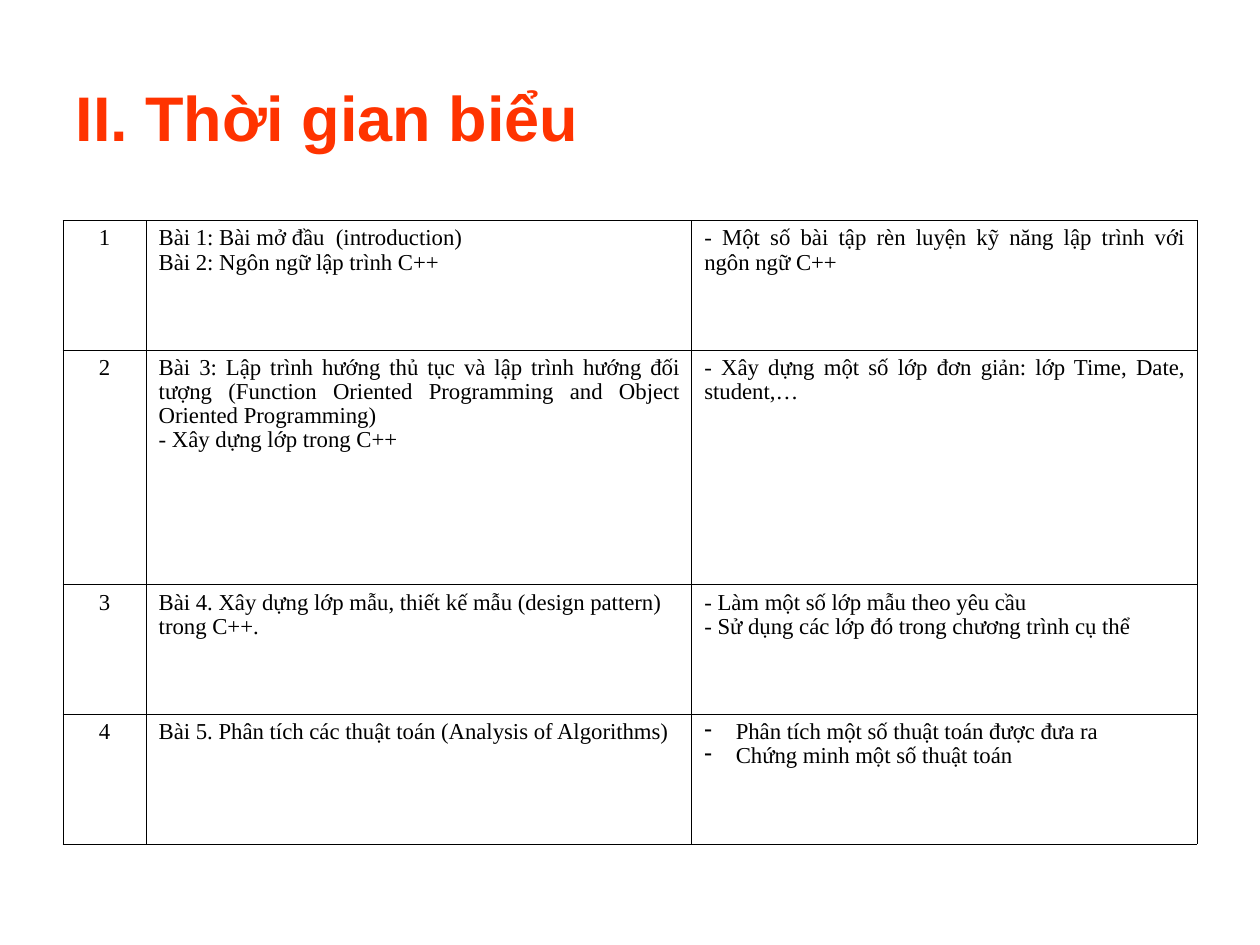
from lxml import etree
from pptx import Presentation
from pptx.dml.color import RGBColor
from pptx.enum.text import MSO_ANCHOR, PP_ALIGN
from pptx.oxml.ns import qn
from pptx.util import Inches, Pt

LEFT, CENTER, JUSTIFY = PP_ALIGN.LEFT, PP_ALIGN.CENTER, PP_ALIGN.JUSTIFY
MIDDLE = MSO_ANCHOR.MIDDLE
TITLE_ONLY = 5
COLORS = {"title": "FF3300", "text": "000000", "border": "000000", "bg": "FFFFFF"}
COL_WIDTHS = [0.66, 4.33, 4.01]
ROW_HEIGHTS = [1.03, 1.86, 1.03, 1.03]

# Each row: (lesson alignment, lessons), (exercise alignment, exercises, bulleted)
SCHEDULE = [
    ((LEFT, ["Bài 1: Bài mở đầu  (introduction)",
             "Bài 2: Ngôn ngữ lập trình C++"]),
     (JUSTIFY, ["- Một số bài tập rèn luyện kỹ năng lập trình với ngôn ngữ C++"])),
    ((JUSTIFY, ["Bài 3: Lập trình hướng thủ tục và lập trình hướng đối tượng "
                "(Function Oriented Programming and Object Oriented Programming)",
                "- Xây dựng lớp trong C++"]),
     (JUSTIFY, ["- Xây dựng một số lớp đơn giản: lớp Time, Date, student,…"])),
    ((LEFT, ["Bài 4. Xây dựng lớp mẫu, thiết kế mẫu (design pattern) trong C++."]),
     (LEFT, ["- Làm một số lớp mẫu theo yêu cầu",
             "- Sử dụng các lớp đó trong chương trình cụ thể"])),
    ((LEFT, ["Bài 5. Phân tích các thuật toán (Analysis of Algorithms)"]),
     (LEFT, ["Phân tích một số thuật toán được đưa ra",
             "Chứng minh một số thuật toán"], True)),
]


def add_run(p, text, font, size, color, bold=False):
    r = p.add_run()
    r.text = text
    r.font.name, r.font.size, r.font.bold = font, Pt(size), bold
    r.font.color.rgb = RGBColor.from_string(COLORS[color])


def add_color(parent, color):
    clr = etree.SubElement(parent, qn("a:srgbClr"))
    clr.set("val", COLORS[color])


def add_dash_bullet(p):
    pPr = p._p.get_or_add_pPr()
    pPr.set("marL", str(Inches(0.25)))
    pPr.set("indent", str(-Inches(0.25)))
    add_color(etree.SubElement(pPr, qn("a:buClr")), "text")
    etree.SubElement(pPr, qn("a:buChar")).set("char", "-")


def set_borders(cell, width):
    tcPr = cell._tc.get_or_add_tcPr()
    for i, side in enumerate(("lnL", "lnR", "lnT", "lnB")):
        ln = etree.Element(qn(f"a:{side}"))
        ln.set("w", str(Pt(width)))
        add_color(etree.SubElement(ln, qn("a:solidFill")), "border")
        tcPr.insert(i, ln)


def fill_cell(cell, align, lines, bulleted=False):
    cell.fill.background()
    set_borders(cell, 0.45)
    cell.margin_left = cell.margin_right = Inches(0.1)
    cell.margin_top = cell.margin_bottom = Inches(0.05)
    tf = cell.text_frame
    for i, line in enumerate(lines):
        p = tf.add_paragraph() if i else tf.paragraphs[0]
        p.alignment = align
        p.line_spacing = 0.96
        if bulleted:
            add_dash_bullet(p)
        add_run(p, line, "Times New Roman", 13, "text")


def place_title(slide, left, top, width, height):
    sp = slide.shapes.title
    sp.left, sp.top, sp.width, sp.height = left, top, width, height
    tf = sp.text_frame
    tf.vertical_anchor = MIDDLE
    p = tf.paragraphs[0]
    p.alignment = JUSTIFY
    add_run(p, "II. Thời gian biểu", "Arial", 36, "title", bold=True)


def add_schedule(slide, left, top, width, height):
    table = slide.shapes.add_table(len(SCHEDULE), len(COL_WIDTHS),
                                   left, top, width, height).table
    table.first_row = table.horz_banding = False
    for col, w in zip(table.columns, COL_WIDTHS):
        col.width = Inches(w)
    for row, h in zip(table.rows, ROW_HEIGHTS):
        row.height = Inches(h)
    for i, (lessons, exercises) in enumerate(SCHEDULE):
        fill_cell(table.cell(i, 0), CENTER, [str(i + 1)])
        fill_cell(table.cell(i, 1), *lessons)
        fill_cell(table.cell(i, 2), *exercises)


def main():
    prs = Presentation()
    prs.slide_width, prs.slide_height = Inches(10), Inches(7.5)
    slide = prs.slides.add_slide(prs.slide_layouts[TITLE_ONLY])
    bg = slide.background.fill
    bg.solid()
    bg.fore_color.rgb = RGBColor.from_string(COLORS["bg"])
    place_title(slide, Inches(0.5), Inches(0.3), Inches(9), Inches(1.25))
    add_schedule(slide, Inches(0.5), Inches(1.75),
                 Inches(sum(COL_WIDTHS)), Inches(sum(ROW_HEIGHTS)))
    prs.save("out.pptx")


if __name__ == "__main__":
    main()
